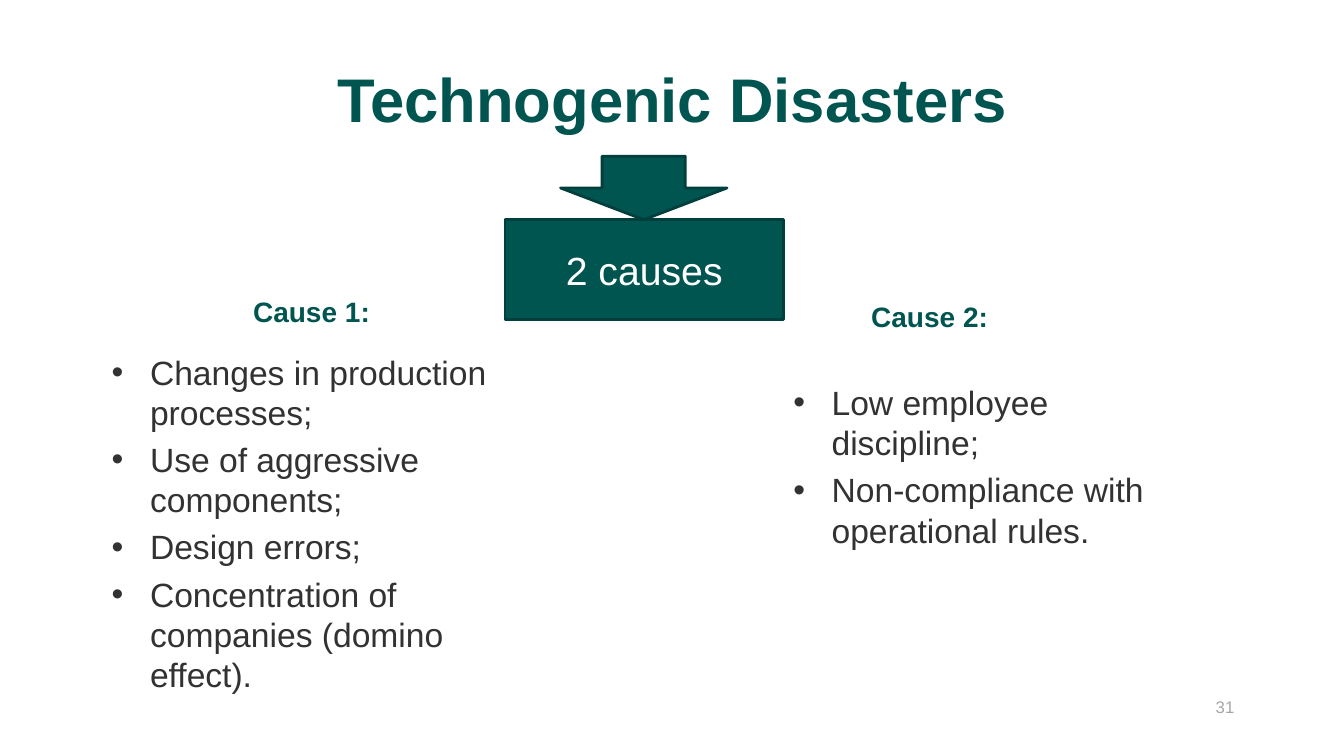
"""Build the Technogenic Disasters slide."""
import dataclasses

import lxml.etree
import pptx
import pptx.dml.color
import pptx.enum.shapes
import pptx.enum.text
import pptx.oxml.ns
import pptx.util

Inches = pptx.util.Inches
Align = pptx.enum.text.PP_ALIGN
Anchor = pptx.enum.text.MSO_ANCHOR
Preset = pptx.enum.shapes.MSO_SHAPE


@dataclasses.dataclass(frozen=True)
class Theme:
    """Colours, font and type sizes of the slide."""
    font: str = "Arial"
    green: str = "005551"
    outline: str = "003F3C"
    body: str = "323232"
    white: str = "FFFFFF"
    grey: str = "A6A6A6"
    title_size: int = 44
    callout_size: int = 28
    body_size: int = 24
    heading_size: int = 20
    number_size: int = 12
    bullet_gap: float = 4.8


THEME = Theme()


def rgb(value):
    """Return the colour for a hex value."""
    return pptx.dml.color.RGBColor.from_string(value)


def style_runs(para, size, colour, bold=False):
    """Format every run of a paragraph."""
    for span in para.runs:
        span.font.name = THEME.font
        span.font.size = pptx.util.Pt(size)
        span.font.color.rgb = rgb(colour)
        span.font.bold = bold


def write(box, text, size, colour, bold=False, align=Align.CENTER, anchor=Anchor.MIDDLE):
    """Put formatted text, one paragraph a line, into a box."""
    frame = box.text_frame
    frame.word_wrap = True
    frame.vertical_anchor = anchor
    frame.text = text
    for para in frame.paragraphs:
        para.alignment = align
        style_runs(para, size, colour, bold)


def add_text(page, place, *content, **options):
    """Add a text box with formatted text."""
    box = page.shapes.add_textbox(*map(Inches, place))
    write(box, *content, **options)
    return box


def add_bullet(para):
    """Give a paragraph a hanging bullet."""
    properties = para._p.get_or_add_pPr()
    properties.set("marL", str(Inches(0.38)))
    properties.set("indent", str(-Inches(0.38)))
    for tag, name, value in (("a:buFont", "typeface", THEME.font), ("a:buChar", "char", "•")):
        lxml.etree.SubElement(properties, pptx.oxml.ns.qn(tag)).set(name, value)


def add_list(page, place, items):
    """Add a bulleted list."""
    box = add_text(page, place, "\n".join(items), THEME.body_size, THEME.body,
                   align=Align.LEFT, anchor=Anchor.TOP)
    for index, para in enumerate(box.text_frame.paragraphs):
        add_bullet(para)
        if index:
            para.space_before = pptx.util.Pt(THEME.bullet_gap)


def add_heading(page, place, text):
    """Add the heading of a cause."""
    add_text(page, place, text, THEME.heading_size, THEME.green,
             bold=True, anchor=Anchor.BOTTOM)


def add_green_shape(page, preset, place):
    """Add a green preset shape with a dark outline."""
    shape = page.shapes.add_shape(preset, *map(Inches, place))
    shape.shadow.inherit = False
    shape.fill.solid()
    shape.fill.fore_color.rgb = rgb(THEME.green)
    shape.line.color.rgb = rgb(THEME.outline)
    shape.line.width = pptx.util.Pt(2)
    return shape


def main():
    """Build and save the deck."""
    deck = pptx.Presentation()
    deck.slide_width, deck.slide_height = Inches(13.33), Inches(7.5)
    page = deck.slides.add_slide(deck.slide_layouts[6])

    add_text(page, (11.96, 6.86, 0.7, 0.4), "31", THEME.number_size, THEME.grey,
             align=Align.LEFT, anchor=Anchor.TOP)
    add_text(page, (0.67, 0.35, 12, 1.25), "Technogenic Disasters",
             THEME.title_size, THEME.green, bold=True)

    add_heading(page, (1.09, 2.75, 4, 0.55), "Cause 1:")
    add_list(page, (1.01, 3.44, 4, 3.26), (
        "Changes in production processes;",
        "Use of aggressive components;",
        "Design errors;",
        "Concentration of companies (domino effect).",
    ))
    add_heading(page, (7.22, 2.8, 4, 0.55), "Cause 2:")
    add_list(page, (7.77, 3.74, 4, 3.26), (
        "Low employee discipline;",
        "Non-compliance with operational rules.",
    ))

    add_green_shape(page, Preset.DOWN_ARROW, (5.56, 1.55, 1.65, 0.63))
    callout = add_green_shape(page, Preset.RECTANGLE, (5.01, 2.18, 2.76, 0.99))
    write(callout, "2 causes", THEME.callout_size, THEME.white)

    deck.save("out.pptx")


if __name__ == "__main__":
    main()
